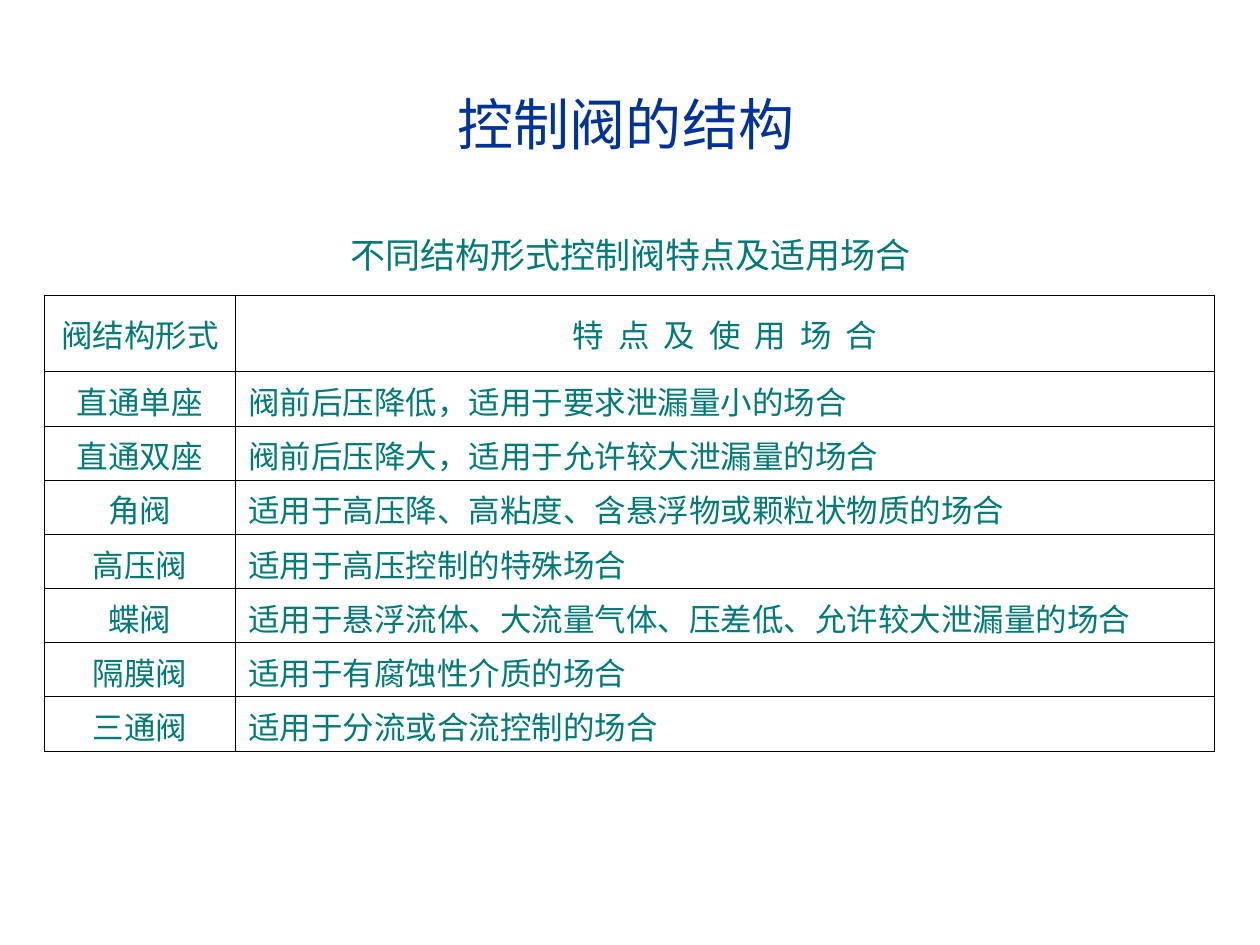
import pptx
import pptx.dml.color
import pptx.enum.text
import pptx.oxml
import pptx.oxml.ns
import pptx.util

COLS, ROWS = 100, 75
UNIT = pptx.util.Inches(0.1)
MID = pptx.enum.text.MSO_ANCHOR.MIDDLE
TOP = pptx.enum.text.MSO_ANCHOR.TOP
LEFT = pptx.enum.text.PP_ALIGN.LEFT
CENTRE = pptx.enum.text.PP_ALIGN.CENTER
FIT = pptx.enum.text.MSO_AUTO_SIZE
BLUE, TEAL, BLACK = "003399", "007A77", "000000"

HEAD = ("阀结构形式", "特 点 及 使 用 场 合")
VALVES = [
    ("直通单座", "阀前后压降低，适用于要求泄漏量小的场合"),
    ("直通双座", "阀前后压降大，适用于允许较大泄漏量的场合"),
    ("角阀", "适用于高压降、高粘度、含悬浮物或颗粒状物质的场合"),
    ("高压阀", "适用于高压控制的特殊场合"),
    ("蝶阀", "适用于悬浮流体、大流量气体、压差低、允许较大泄漏量的场合"),
    ("隔膜阀", "适用于有腐蚀性介质的场合"),
    ("三通阀", "适用于分流或合流控制的场合"),
]


def colour(code):
    return pptx.dml.color.RGBColor.from_string(code)


def span(*cells):
    """Turn grid cells into lengths."""
    return [round(n * UNIT) for n in cells]


def apply(item, values):
    for name, value in values.items():
        setattr(item, name, value)


class Page:
    """Holds the text style and the current slide."""

    def __init__(self, deck, face, ink):
        self.face, self.ink = face, ink
        self.slide = deck.slides.add_slide(deck.slide_layouts[5])

    def words(self, frame, text, size, align=LEFT, face=None, ink=None):
        para = frame.paragraphs[0]
        para.alignment = align
        run = para.add_run()
        run.text = text
        apply(run.font, {"name": face or self.face, "size": pptx.util.Pt(size),
                         "bold": False})
        run.font.color.rgb = colour(ink or self.ink)

    def title(self, text, box, **style):
        shape = self.slide.shapes.title
        names = ("left", "top", "width", "height")
        apply(shape, dict(zip(names, span(*box))))
        apply(shape.text_frame, {"word_wrap": True, "auto_size": FIT.NONE,
                                 "vertical_anchor": MID})
        self.words(shape.text_frame, text, **style)

    def label(self, text, box, **style):
        frame = self.slide.shapes.add_textbox(*span(*box)).text_frame
        apply(frame, {"word_wrap": False, "auto_size": FIT.SHAPE_TO_FIT_TEXT,
                      "vertical_anchor": MID})
        self.words(frame, text, **style)

    def border(self, cell, ink, width):
        props = cell._tc.get_or_add_tcPr()
        space = pptx.oxml.ns.nsdecls("a")
        for place, side in enumerate("LRTB"):
            props.insert(place, pptx.oxml.parse_xml(
                f'<a:ln{side} {space} w="{pptx.util.Pt(width)}"><a:solidFill>'
                f'<a:srgbClr val="{ink}"/></a:solidFill></a:ln{side}>'))

    def table(self, data, spot, wide, high, size):
        """Draw data with a centred first row and first column."""
        box = span(*spot, sum(wide), sum(high))
        grid = self.slide.shapes.add_table(len(data), len(wide), *box).table
        apply(grid, {"first_row": False, "horz_banding": False})
        for col, width in zip(grid.columns, span(*wide)):
            col.width = width
        for row, height in zip(grid.rows, span(*high)):
            row.height = height
        for r, line in enumerate(data):
            for c, text in enumerate(line):
                cell = grid.cell(r, c)
                cell.fill.background()
                cell.vertical_anchor = TOP if r else MID
                self.words(cell.text_frame, text, size,
                           LEFT if r and c else CENTRE)
                self.border(cell, BLACK, 0.45)
        return grid


def spread(cell, points):
    """Widen the gaps between the letters of a cell."""
    run = cell.text_frame.paragraphs[0].runs[0]
    run._r.get_or_add_rPr().set("spc", str(points * 100))


def main():
    deck = pptx.Presentation()
    apply(deck, {"slide_width": COLS * UNIT, "slide_height": ROWS * UNIT})
    page = Page(deck, "Times New Roman", TEAL)
    page.title("控制阀的结构", (13.3, 5.4, 72.8, 8.7), size=32,
               align=CENTRE, face="Arial", ink=BLUE)
    page.label("不同结构形式控制阀特点及适用场合", (26.8, 18, 46.5, 4.4), size=20)
    high = [6.1] + [4.3] * len(VALVES)
    grid = page.table([HEAD] + VALVES, (3.5, 23.4), (15.2, 77.7), high, 18)
    spread(grid.cell(0, 1), 2)
    deck.save("out.pptx")


if __name__ == "__main__":
    main()
